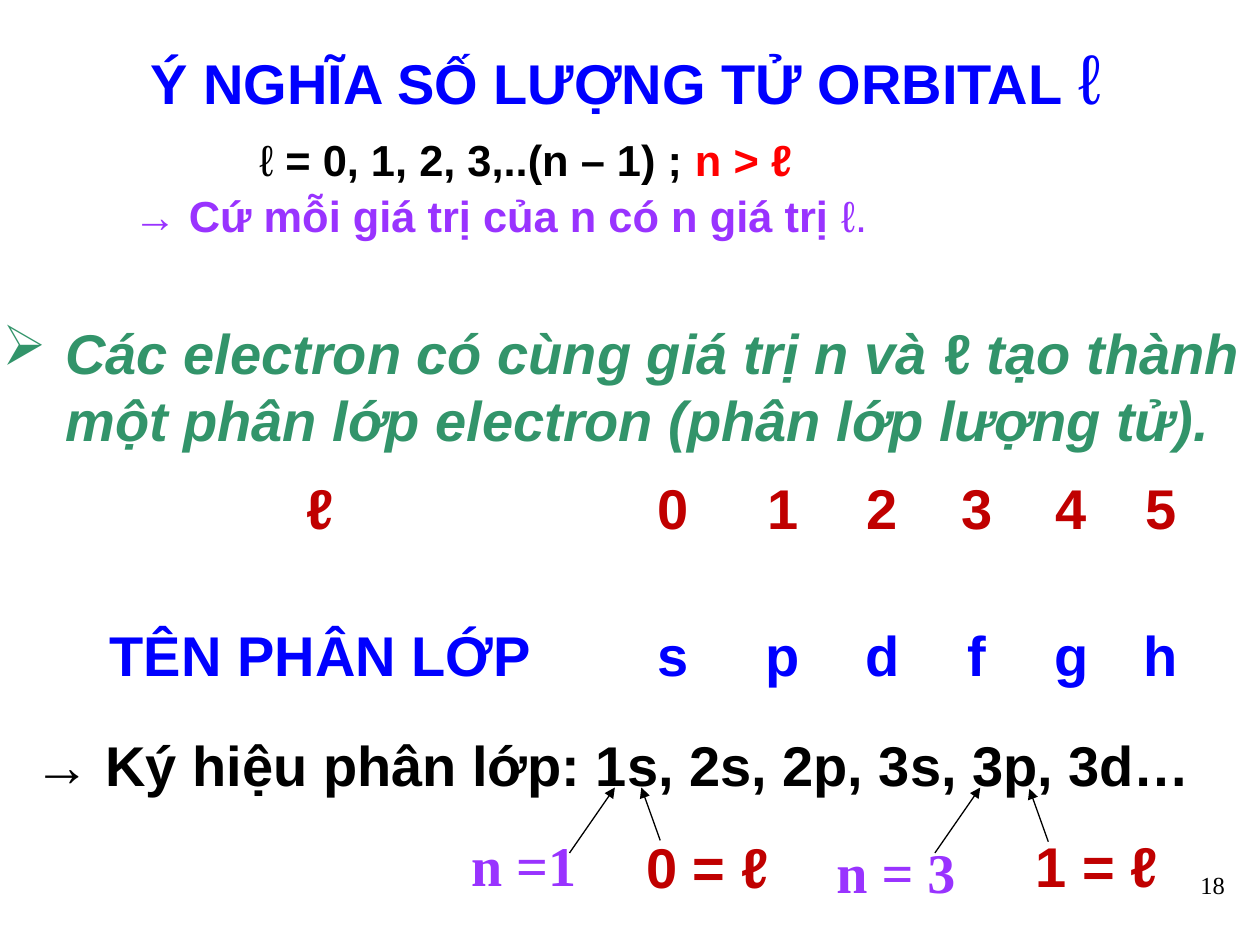
import pptx
import pptx.dml.color
import pptx.enum.shapes
import pptx.enum.text
import pptx.oxml
import pptx.oxml.ns
import pptx.util

Inches = pptx.util.Inches
Pt = pptx.util.Pt
ALIGN = pptx.enum.text.PP_ALIGN
ANCHOR = pptx.enum.text.MSO_ANCHOR
NS = pptx.oxml.ns.nsdecls("a")

BLACK, BLUE, RED, DARK_RED = "000000", "0000FF", "FF0000", "C00000"
PURPLE, GREEN, WHITE = "9933FF", "32946A", "FFFFFF"


def rgb(value):
    return pptx.dml.color.RGBColor.from_string(value)


def style(color, size=32, name="Arial", bold=True, italic=False):
    return {"color": color, "size": Pt(size), "name": name, "bold": bold, "italic": italic}


def set_attributes(target, values):
    for key, value in values.items():
        setattr(target, key, value)


def add_run(p, text, values):
    r = p.add_run()
    r.text = text
    set_attributes(r.font, {k: v for k, v in values.items() if k != "color"})
    r.font.color.rgb = rgb(values["color"])


def fill_paragraph(p, runs, bullet=None, indent=None, **values):
    pPr = p._p.get_or_add_pPr()
    if indent:
        for key, value in zip(("marL", "indent"), indent):
            pPr.set(key, str(Inches(value)))
    if bullet:
        char, color = bullet
        for xml in (f'<a:buClr {NS}><a:srgbClr val="{color}"/></a:buClr>',
                    f'<a:buChar {NS} char="{char}"/>'):
            pPr.append(pptx.oxml.parse_xml(xml))
    set_attributes(p, values)
    for text, run_style in runs:
        add_run(p, text, run_style)


def add_text(s, box, *paragraphs, anchor=ANCHOR.TOP):
    sp = s.shapes.add_textbox(*map(Inches, box))
    tf = sp.text_frame
    set_attributes(tf, {"word_wrap": True, "vertical_anchor": anchor})
    for i, paragraph in enumerate(paragraphs):
        p = tf.add_paragraph() if i else tf.paragraphs[0]
        fill_paragraph(p, **paragraph)


def set_borders(cell, widths):
    tcPr = cell._tc.get_or_add_tcPr()
    for i, (side, width) in enumerate(widths.items()):
        tcPr.insert(i, pptx.oxml.parse_xml(
            f'<a:ln{side} {NS} w="{Pt(width)}"><a:solidFill>'
            f'<a:srgbClr val="{WHITE}"/></a:solidFill></a:ln{side}>'))


def add_subshell_table(s, box, widths, heights, rows):
    frame = s.shapes.add_table(len(heights), len(widths), *map(Inches, box))
    table = frame.table
    set_attributes(table, {"first_row": False, "horz_banding": False})
    for column, width in zip(table.columns, widths):
        column.width = Inches(width)
    for i, (height, (labels, color)) in enumerate(zip(heights, rows)):
        table.rows[i].height = Inches(height)
        for j, label in enumerate(labels):
            cell = table.cell(i, j)
            cell.fill.background()
            fill_paragraph(cell.text_frame.paragraphs[0],
                           [(label, style(color))], alignment=ALIGN.CENTER)
            set_borders(cell, {"L": 0.45, "R": 0.45,
                               "T": 1.47 if i else 0.45, "B": 0.45 if i else 1.47})


def add_arrow(s, start, end):
    line = s.shapes.add_connector(pptx.enum.shapes.MSO_CONNECTOR.STRAIGHT,
                                  *map(Inches, start + end))
    line.line.color.rgb = rgb(BLACK)
    line.line.width = Pt(0.75)
    line.line._get_or_add_ln().append(
        pptx.oxml.parse_xml(f'<a:tailEnd {NS} type="triangle"/>'))
    line._element.spPr.append(pptx.oxml.parse_xml(f"<a:effectLst {NS}/>"))


def add_heading(s):
    add_text(s, (0.3, -0.02, 9.33, 1.25),
             {"runs": [("Ý NGHĨA SỐ LƯỢNG TỬ ORBITAL ", style(BLUE)),
                       ("ℓ", style(BLUE, 40, bold=False))],
              "alignment": ALIGN.CENTER},
             anchor=ANCHOR.MIDDLE)
    size = 24.8
    add_text(s, (0, 1.01, 9.92, 1.08),
             {"runs": [("ℓ", style(BLACK, size, bold=False)),
                       (" = 0, 1, 2, 3,..(n – 1) ; ", style(BLACK, size)),
                       ("n > ℓ", style(RED, size))],
              "indent": (1.96, 0)},
             {"runs": [("→ Cứ mỗi giá trị của n có n giá trị ", style(PURPLE, size)),
                       ("ℓ.", style(PURPLE, size, bold=False))],
              "indent": (0.96, 0), "line_spacing": 0.8, "space_before": Pt(8)})


def add_statements(s):
    green = style(GREEN, italic=True)
    add_text(s, (-0.58, 2.48, 10.92, 1.17),
             {"runs": [("Các electron có cùng giá trị n và ", green),
                       ("ℓ", style(GREEN)),
                       (" tạo thành một phân lớp electron (phân lớp lượng tử).", green)],
              "indent": (1, -0.5), "bullet": ("➢", GREEN)})
    add_text(s, (0.17, 5.75, 10, 0.64),
             {"runs": [("→ ", style(BLACK, bold=False)),
                       ("Ký hiệu phân lớp: 1s, 2s, 2p, 3s, 3p, 3d…", style(BLACK))]})


def main():
    prs = pptx.Presentation()
    prs.slide_width, prs.slide_height = Inches(10), Inches(7.5)
    s = prs.slides.add_slide(prs.slide_layouts[6])
    add_text(s, (7.74, 6.86, 2.08, 0.5),
             {"runs": [("18", style(BLACK, 14, "Times New Roman", False))],
              "alignment": ALIGN.RIGHT})
    add_heading(s)
    add_statements(s)
    add_subshell_table(s, (0.21, 3.75, 9.33, 2.12),
                       (4.67, 0.92, 0.83, 0.75, 0.75, 0.75, 0.67), (1.17, 0.95),
                       [(["ℓ", *"012345"], DARK_RED),
                        (["TÊN PHÂN LỚP", *"spdfgh"], BLUE)])
    n_style = style(PURPLE, name="Times New Roman")
    l_style = style(DARK_RED)
    for text, left, top, width, label_style in (
            ("n =1", 3.64, 6.54, 1.63, n_style),
            ("0 = ℓ", 5.03, 6.56, 1.75, l_style),
            ("n = 3", 6.54, 6.6, 1.63, n_style),
            ("1 = ℓ", 8.12, 6.55, 1.75, l_style)):
        add_text(s, (left, top, width, 0.64), {"runs": [(text, label_style)]})
    for start, end in (((4.52, 6.77), (4.88, 6.25)), ((5.24, 6.67), (5.09, 6.25)),
                       ((8.32, 6.68), (8.17, 6.26)), ((7.42, 6.77), (7.78, 6.25))):
        add_arrow(s, start, end)
    prs.save("out.pptx")


if __name__ == "__main__":
    main()
